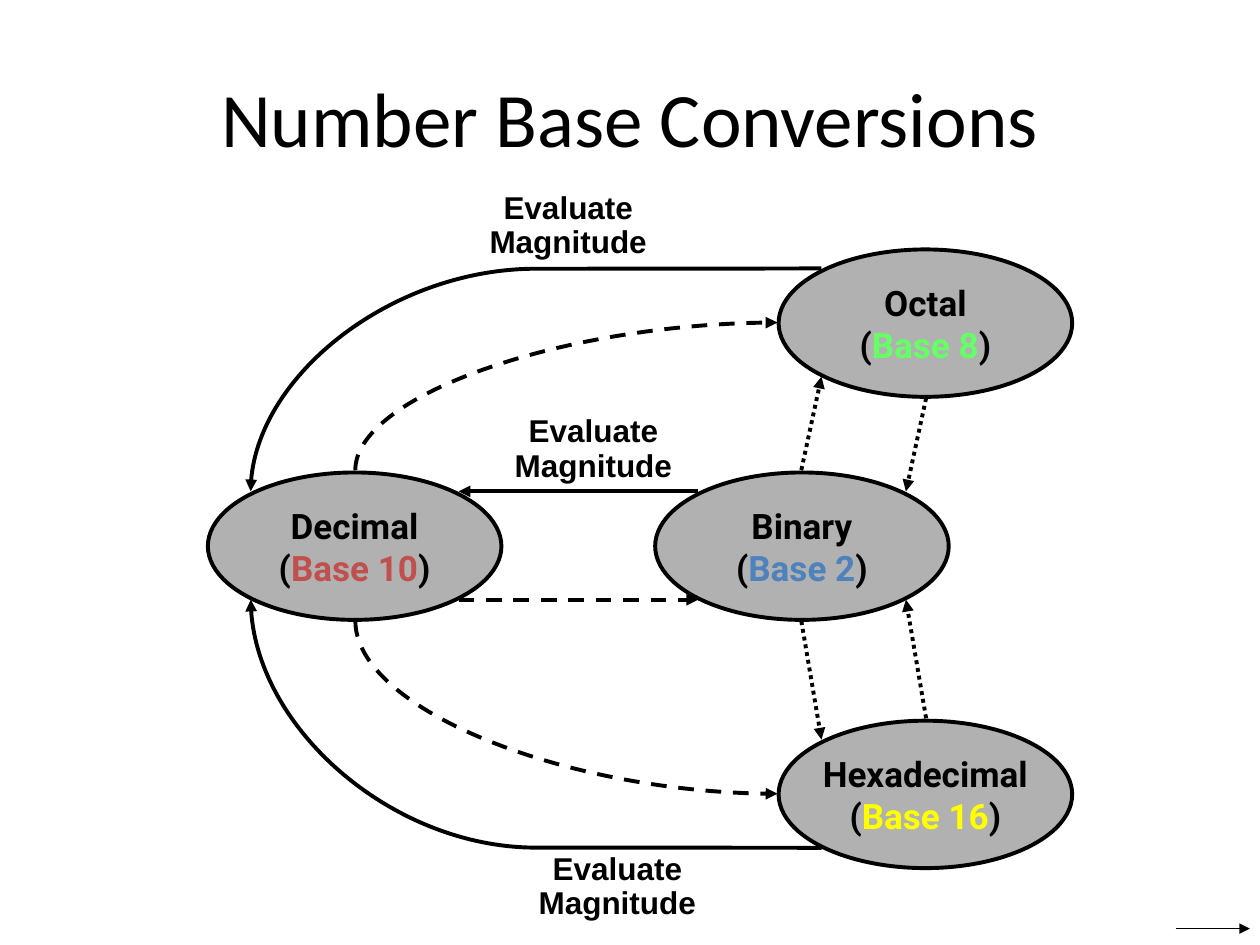
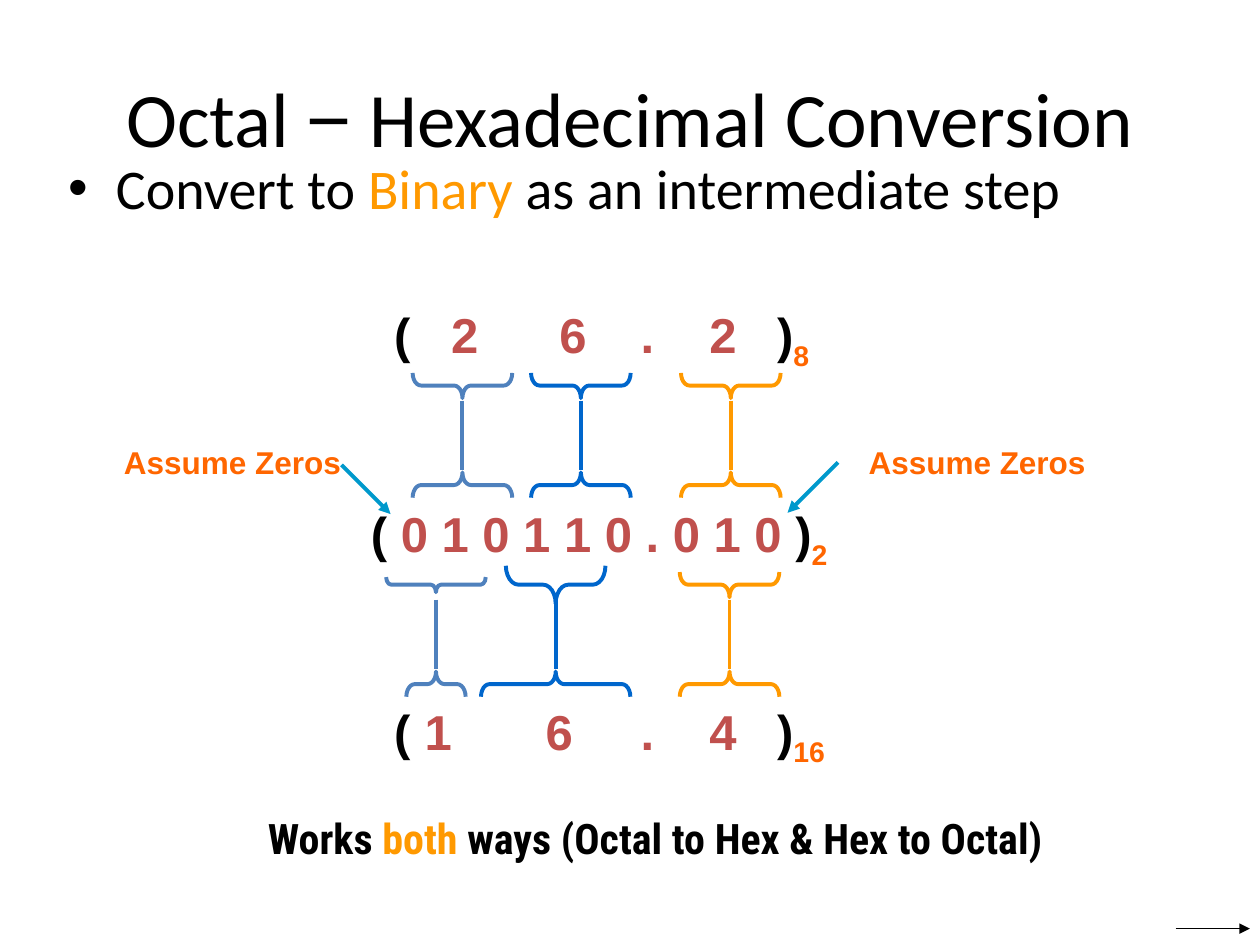
from lxml import etree
from pptx import Presentation
from pptx.dml.color import RGBColor
from pptx.enum.dml import MSO_LINE
from pptx.enum.shapes import MSO_CONNECTOR, MSO_SHAPE
from pptx.enum.text import MSO_ANCHOR, PP_ALIGN
from pptx.oxml.ns import qn
from pptx.util import Inches, Pt

LEFT, MID = PP_ALIGN.LEFT, PP_ALIGN.CENTER
DASH, DOT = MSO_LINE.DASH, MSO_LINE.ROUND_DOT
LINE, CURVE = MSO_CONNECTOR.STRAIGHT, MSO_CONNECTOR.CURVE
OVAL, BRACE = MSO_SHAPE.OVAL, MSO_SHAPE.LEFT_BRACE


class Theme:
    black, white, gray = "000000", "FFFFFF", "B1B1B1"
    red, green, yellow = "C0504D", "66FF66", "FFFF00"
    sky, blue, teal = "4F81BD", "0066CC", "0099CC"
    gold, orange = "FF9900", "FF6600"
    head, body, node, label = "Calibri", "Arial", "Roboto", "Roboto Condensed"
    title, lead, digit, note, base, tag = 44, 32, 28, 24, 20, 18
    thick, thin = 2.25, 0.75


def write(shape, lines, size, font, bold=True, align=MID, inset=None):
    frame = shape.text_frame
    if inset is not None:
        frame.margin_left = frame.margin_right = Inches(inset[0])
        frame.margin_top = frame.margin_bottom = Inches(inset[1])
    for i, line in enumerate(lines):
        para = frame.add_paragraph() if i else frame.paragraphs[0]
        para.alignment = align
        for text, color, *face in line:
            run = para.add_run()
            run.text = text
            run.font.size, run.font.bold = Pt(size), bold
            run.font.name = face[0] if face else font
            run.font.color.rgb = RGBColor.from_string(color)
    return frame


def link(slide, ends, color=Theme.black, width=Theme.thick, dash=None, tail=True, kind=LINE):
    wire = slide.shapes.add_connector(kind, *[Inches(v) for v in ends])
    wire.line.color.rgb = RGBColor.from_string(color)
    wire.line.width = Pt(width)
    if dash:
        wire.line.dash_style = dash
    if tail:
        etree.SubElement(wire.line._get_or_add_ln(), qn("a:tailEnd"), type="triangle")
    etree.SubElement(wire._element.spPr, qn("a:effectLst"))
    return wire


deck = Presentation()
deck.slide_width, deck.slide_height = Inches(10), Inches(7.5)

heads = [
    [("Number Base Conversions", Theme.black)],
    [("Octal ", Theme.black), ("−", Theme.black, Theme.body),
     (" Hexadecimal Conversion", Theme.black)],
]
pages = []
for head in heads:
    page = deck.slides.add_slide(deck.slide_layouts[5])
    page.background.fill.solid()
    page.background.fill.fore_color.rgb = RGBColor.from_string(Theme.white)
    title = page.shapes.title
    title.left, title.top = Inches(0.5), Inches(0.3)
    title.width, title.height = Inches(9), Inches(1.25)
    frame = write(title, [head], Theme.title, Theme.head, False)
    frame.vertical_anchor = MSO_ANCHOR.MIDDLE
    link(page, (9.33, 7.37, 9.92, 7.37), width=Theme.thin)
    pages.append(page)
bases, steps = pages

nodes = [
    ("Decimal", "Base 10", Theme.red, 1.65, 3.75),
    ("Octal", "Base 8", Theme.green, 6.18, 1.98),
    ("Binary", "Base 2", Theme.sky, 5.2, 3.75),
    ("Hexadecimal", "Base 16", Theme.yellow, 6.18, 5.72),
]
for name, base, color, x, y in nodes:
    node = bases.shapes.add_shape(OVAL, Inches(x), Inches(y), Inches(2.33), Inches(1.17))
    node.shadow.inherit = False
    node.fill.solid()
    node.fill.fore_color.rgb = RGBColor.from_string(Theme.gray)
    node.line.color.rgb = RGBColor.from_string(Theme.black)
    node.line.width = Pt(Theme.thick)
    lines = [[(name, Theme.black)],
             [("(", Theme.black), (base, color), (")", Theme.black)]]
    frame = write(node, lines, Theme.base, Theme.node)
    frame.word_wrap = False
    frame.vertical_anchor = MSO_ANCHOR.MIDDLE

wires = [
    ((3.64, 4.76, 5.54, 4.76), DASH),
    ((5.54, 3.9, 3.64, 3.9), None),
    ((6.36, 3.73, 6.52, 2.99), DOT),
    ((7.35, 3.16, 7.19, 3.9), DOT),
    ((7.35, 5.7, 7.19, 4.76), DOT),
    ((6.36, 4.93, 6.52, 5.87), DOT),
]
for ends, dash in wires:
    link(bases, ends, dash=dash)

curves = [
    ((6.52, 2.13, 1.99, 3.9), None, "hv", 200),
    ((2.82, 3.73, 6.17, 2.56), DASH, "", None),
    ((2.82, 4.93, 6.17, 6.3), DASH, "h", None),
    ((6.52, 6.73, 1.99, 4.76), None, "v", 100),
]
for (x1, y1, x2, y2), dash, flips, bend in curves:
    midx, midy = (x1 + x2) / 2, (y1 + y2) / 2
    halfw, halfh = abs(y2 - y1) / 2, abs(x2 - x1) / 2
    box = (midx - halfw, midy - halfh, midx + halfw, midy + halfh)
    wire = link(bases, box, dash=dash, kind=CURVE)
    prop = wire._element.spPr
    form = prop.find(qn("a:xfrm"))
    form.set("rot", str(270 * 60000))
    for flip in flips:
        form.set("flip" + flip.upper(), "1")
    geom = prop.find(qn("a:prstGeom"))
    if bend is None:
        geom.set("prst", "curvedConnector2")
    else:
        etree.SubElement(geom.find(qn("a:avLst")), qn("a:gd"), name="adj1", fmla=f"val {bend}")

tags = [
    (bases, "Evaluate Magnitude", Theme.black, 3.82, 1.53, 1.38, 0.54),
    (bases, "Evaluate Magnitude", Theme.black, 4.02, 3.3, 1.38, 0.54),
    (bases, "Evaluate Magnitude", Theme.black, 4.21, 6.77, 1.38, 0.54),
    (steps, "Assume Zeros", Theme.orange, 0.86, 3.55, 1.97, 0.27),
    (steps, "Assume Zeros", Theme.orange, 6.77, 3.55, 1.97, 0.27),
]
for page, text, color, *box in tags:
    tag = page.shapes.add_textbox(*[Inches(v) for v in box])
    frame = write(tag, [[(text, color)]], Theme.tag, Theme.body, inset=(0, 0))
    frame.word_wrap = True
    frame.paragraphs[0].line_spacing = 0.9

lead = steps.shapes.add_textbox(Inches(0.47), Inches(1.19), Inches(9.25), Inches(0.52))
words = [("Convert to ", Theme.black), ("Binary", Theme.gold),
         (" as an intermediate step", Theme.black)]
frame = write(lead, [words], Theme.lead, Theme.head, False, LEFT, (0.07, 0.03))
frame.word_wrap = True
prop = frame.paragraphs[0]._p.get_or_add_pPr()
prop.set("marL", str(Inches(0.38)))
prop.set("indent", str(-Inches(0.38)))
etree.SubElement(prop, qn("a:buFont"), typeface="Arial")
etree.SubElement(prop, qn("a:buChar"), char="•")

rows = [
    ("(", "\t2\t6\t.\t2\t", "8", 3.03, 2.37, 3.67, (3.69, 4.55, 5.14, 5.74)),
    ("( ", "0 1 0 1 1 0 . 0 1 0 ", "2", 2.83, 3.95, 3.85, ()),
    ("(", "\t1\t6\t.\t4\t", "16", 3.03, 5.52, 3.67, (3.48, 4.44, 5.14, 5.74)),
]
for start, digits, base, x, y, wide, stops in rows:
    row = steps.shapes.add_textbox(Inches(x), Inches(y), Inches(wide), Inches(0.57))
    words = [(start, Theme.black), (digits, Theme.red), (")", Theme.black), (base, Theme.orange)]
    frame = write(row, [words], Theme.digit, Theme.body, align=LEFT if stops else MID)
    frame.word_wrap = bool(stops)
    para = frame.paragraphs[0]
    para.runs[-1]._r.get_or_add_rPr().set("baseline", "-25000")
    if stops:
        tabs = etree.SubElement(para._p.get_or_add_pPr(), qn("a:tabLst"))
        for stop in stops:
            etree.SubElement(tabs, qn("a:tab"), pos=str(Inches(stop - x - 0.1)), algn="ctr")
        etree.SubElement(tabs, qn("a:tab"), pos=str(Inches(6.17 - x - 0.1)), algn="l")

pairs = [
    (Theme.gold, 5.8, 3.06, 0.79, 0.2, 0.79),
    (Theme.blue, 4.61, 3.06, 0.79, 0.2, 0.79),
    (Theme.sky, 3.67, 3.06, 0.79, 0.2, 0.79),
    (Theme.gold, 5.79, 4.64, 0.79, 0.2, 0.79),
    (Theme.blue, 4.41, 4.64, 0.79, 0.3, 0.79 * 1.5),
    (Theme.sky, 3.46, 4.64, 0.79, 0.12, 0.47),
]
for color, x, y, top, deep, low in pairs:
    for turn, mid, span, thick in ((270, y, top, deep), (90, y + 0.79, low, 0.2)):
        brace = steps.shapes.add_shape(BRACE, Inches(x - thick / 2), Inches(mid - span / 2),
                                       Inches(thick), Inches(span))
        brace.rotation = turn
        brace.adjustments[0] = 0.334
        brace.shadow.inherit = False
        brace.fill.background()
        brace.line.color.rgb = RGBColor.from_string(color)
        brace.line.width = Pt(Theme.thick)
    link(steps, (x, y + 0.12, x, y + 0.67), color, tail=False)

for ends in ((6.65, 3.67, 6.25, 4.07), (2.71, 3.69, 3.1, 4.08)):
    link(steps, ends, Theme.teal)

note = steps.shapes.add_textbox(Inches(1.26), Inches(6.4), Inches(7.88), Inches(0.5))
words = [("Works ", Theme.black), ("both", Theme.gold),
         (" ways (Octal to Hex & Hex to Octal)", Theme.black)]
write(note, [words], Theme.note, Theme.label).word_wrap = True

deck.save("out.pptx")
